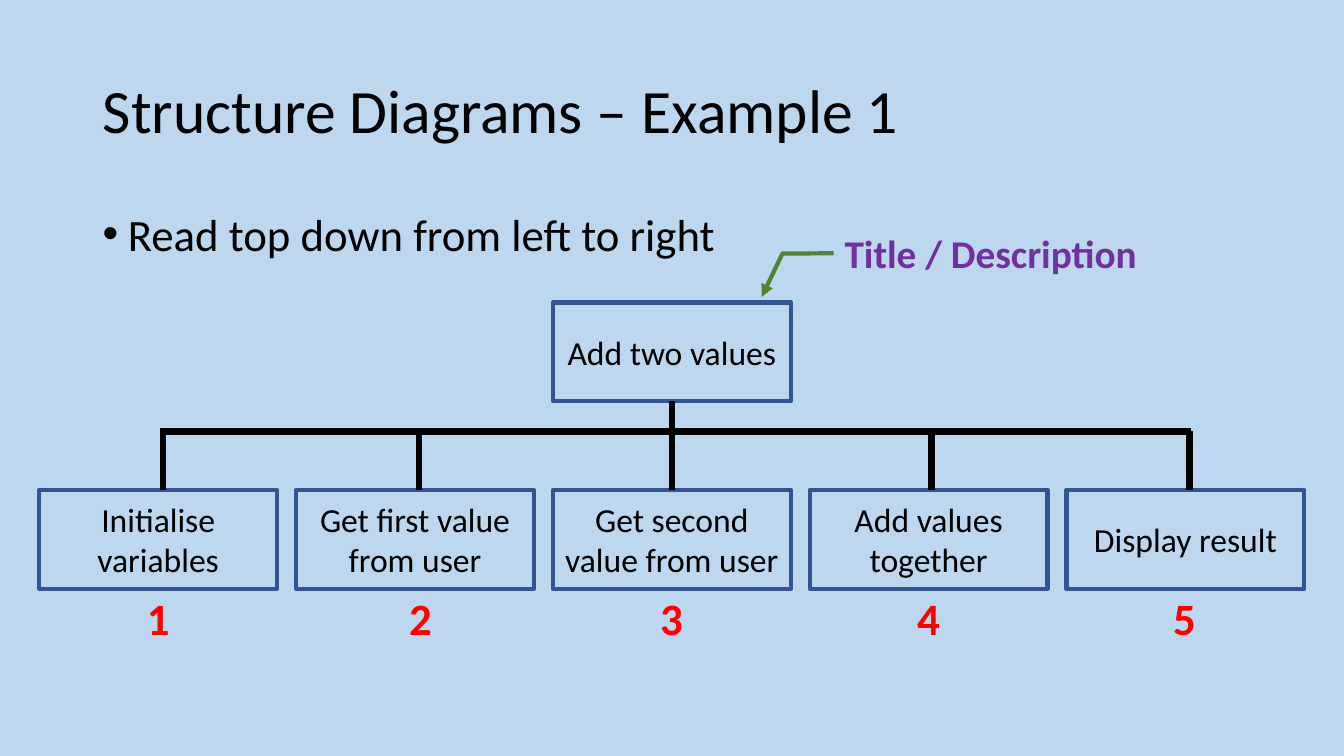
from pptx import Presentation
from pptx.dml.color import RGBColor
from pptx.enum.shapes import MSO_CONNECTOR, MSO_SHAPE
from pptx.enum.text import MSO_ANCHOR, MSO_AUTO_SIZE, PP_ALIGN
from pptx.oxml.ns import qn
from pptx.util import Inches, Pt
from lxml import etree

BLACK, RED, PURPLE = "000000", "FF0000", "7030A0"
BOX_BLUE, ARROW_GREEN, BACKGROUND = "325491", "548235", "BDD7EE"

BOX_WIDTH, BOX_HEIGHT = 2.36, 0.98
FIRST_LEFT, COLUMN_STEP = 0.39, 2.5475
TITLE_TOP, STEP_TOP, BAR_Y = 3, 4.86, 4.28
MARGIN, CONTENT_WIDTH = 0.92, 11.5

# Step text, x of its stem, left of its number
STEPS = [
    ("Initialise variables", 1.62, 1.36),
    ("Get first value from user", 4.16, 3.96),
    ("Get second value from user", 6.67, 6.45),
    ("Add values together", 9.24, 9),
    ("Display result", 11.8, 11.54),
]
MIDDLE = len(STEPS) // 2


def color(hex_string):
    return RGBColor.from_string(hex_string)


def write(shape, text, size, hex_string, bold=False, align=PP_ALIGN.LEFT,
          anchor=MSO_ANCHOR.MIDDLE, wrap=True):
    """Fill a shape with one formatted paragraph and return the paragraph."""
    frame = shape.text_frame
    frame.word_wrap = wrap
    frame.vertical_anchor = anchor
    paragraph = frame.paragraphs[0]
    paragraph.alignment = align
    run = paragraph.add_run()
    run.text = text
    for name, value in {"name": "Calibri", "size": Pt(size), "bold": bold}.items():
        setattr(run.font, name, value)
    run.font.color.rgb = color(hex_string)
    return paragraph


presentation = Presentation()
presentation.slide_width, presentation.slide_height = Inches(13.333), Inches(7.5)
slide = presentation.slides.add_slide(presentation.slide_layouts[5])
slide.background.fill.solid()
slide.background.fill.fore_color.rgb = color(BACKGROUND)
shapes = slide.shapes

# Title and bullet
title = shapes.title
title.left, title.top = Inches(MARGIN), Inches(0.4)
title.width, title.height = Inches(CONTENT_WIDTH), Inches(1.45)
write(title, "Structure Diagrams – Example 1", 44, BLACK).line_spacing = 0.9

body = shapes.add_textbox(Inches(MARGIN), Inches(2), Inches(CONTENT_WIDTH), Inches(4.76))
bullet_paragraph = write(body, "Read top down from left to right", 32, BLACK,
                         anchor=MSO_ANCHOR.TOP)
bullet_paragraph.space_after = Pt(12)
properties = bullet_paragraph._p.get_or_add_pPr()
properties.set("marL", str(Inches(0.25)))
properties.set("indent", str(-Inches(0.25)))
etree.SubElement(properties, qn("a:buFont"), typeface="Arial")
etree.SubElement(properties, qn("a:buChar"), char="•")

# Boxes: the task above the middle step, then the row of steps
boxes = []
places = [(MIDDLE, TITLE_TOP, "Add two values")]
places += [(column, STEP_TOP, step[0]) for column, step in enumerate(STEPS)]
for column, top, text in places:
    box = shapes.add_shape(MSO_SHAPE.RECTANGLE, Inches(FIRST_LEFT + column * COLUMN_STEP),
                           Inches(top), Inches(BOX_WIDTH), Inches(BOX_HEIGHT))
    box.shadow.inherit = False
    box.fill.background()
    box.line.color.rgb = color(BOX_BLUE)
    box.line.width = Pt(3)
    write(box, text, 24, BLACK, align=PP_ALIGN.CENTER)
    boxes.append(box)
task_box, *step_boxes = boxes

# Stems and the bar that joins them
lines = [(x, STEP_TOP, x, BAR_Y) for _, x, _ in STEPS]
lines.append((1.59, BAR_Y, 11.82, BAR_Y))
connectors = []
for ends in lines:
    connector = shapes.add_connector(MSO_CONNECTOR.STRAIGHT, *map(Inches, ends))
    connector.line.color.rgb = color(BLACK)
    connector.line.width = Pt(4.5)
    etree.SubElement(connector._element.spPr, qn("a:effectLst"))
    connectors.append(connector)
connectors[MIDDLE].begin_connect(step_boxes[MIDDLE], 0)
connectors[MIDDLE].end_connect(task_box, 2)

# Reading order
for number, (_, _, left) in enumerate(STEPS, start=1):
    label = shapes.add_textbox(Inches(left), Inches(5.81), Inches(0.43), Inches(0.64))
    write(label, str(number), 32, RED, bold=True, anchor=MSO_ANCHOR.TOP, wrap=False)
    label.text_frame.auto_size = MSO_AUTO_SIZE.SHAPE_TO_FIT_TEXT

# Callout pointing at the task box
callout = shapes.add_shape(MSO_SHAPE.LINE_CALLOUT_2_NO_BORDER, Inches(8.28), Inches(2.04),
                           Inches(3.12), Inches(0.94))
for index, value in enumerate([0.503, -0.003, 0.506, -0.166, 0.964, -0.232]):
    callout.adjustments[index] = value
callout.shadow.inherit = False
callout.fill.background()
callout.line.color.rgb = color(ARROW_GREEN)
callout.line.width = Pt(3)
etree.SubElement(callout.line._get_or_add_ln(), qn("a:tailEnd"), type="triangle")
write(callout, "Title / Description", 28, PURPLE, bold=True)

presentation.save("out.pptx")
